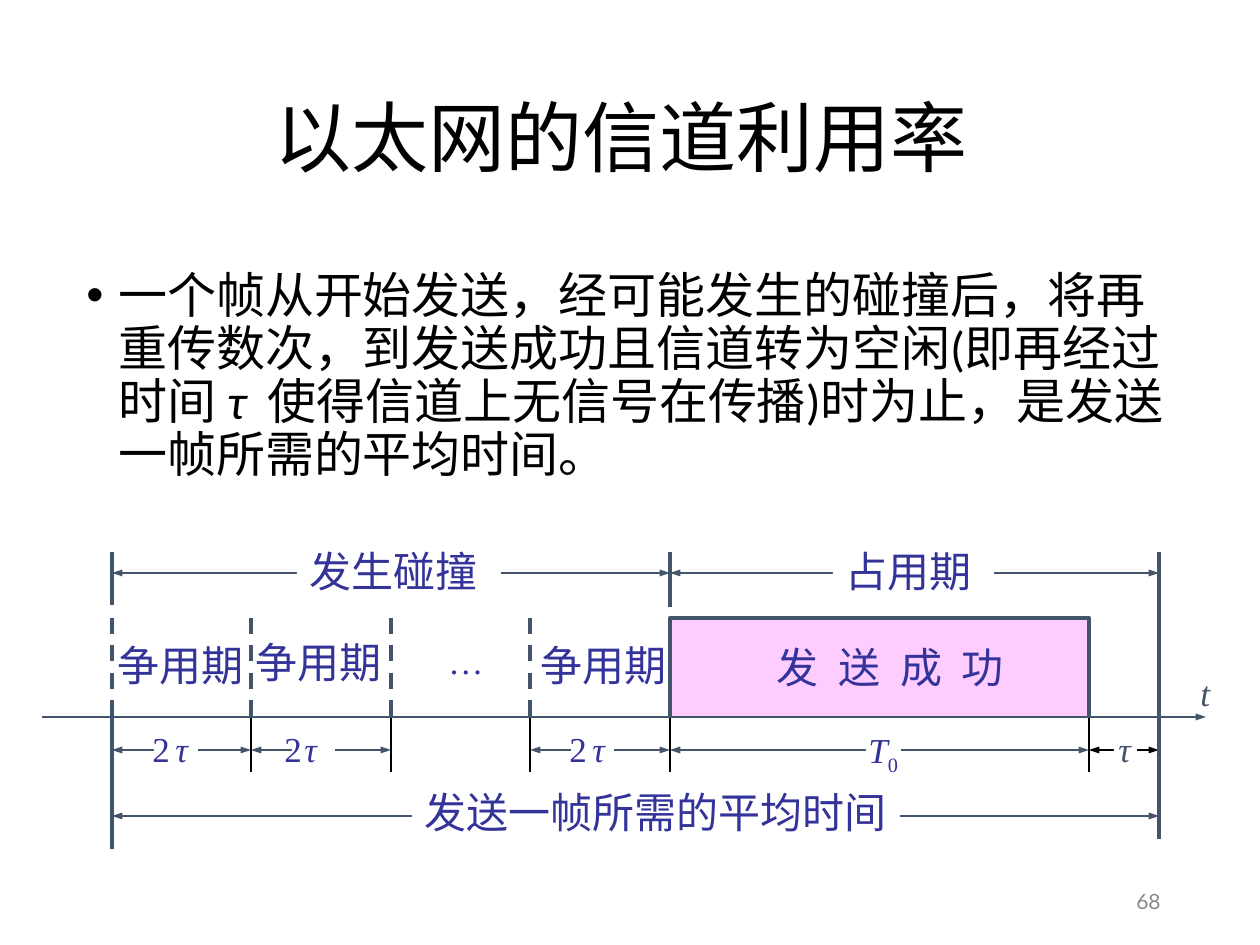
import pptx
import pptx.dml.color
import pptx.enum.dml
import pptx.enum.shapes
import pptx.enum.text
import pptx.oxml.ns
import pptx.oxml.xmlchemy
import pptx.util
from dataclasses import dataclass

SCALE = 914400 / 126
ALIGN = pptx.enum.text.PP_ALIGN
ANCHOR = pptx.enum.text.MSO_ANCHOR


@dataclass(frozen=True)
class Theme:
    black: str = "000000"
    white: str = "FFFFFF"
    slate: str = "44546A"
    indigo: str = "333399"
    pink: str = "FFCCFF"
    grey: str = "898989"
    sans: str = "Calibri"
    serif: str = "Times New Roman"
    number_font: str = "Lato"
    title: int = 44
    body: int = 28
    label: int = 24
    symbol: int = 20
    number: int = 12
    thick: float = 2.25
    medium: float = 1.5
    thin: float = 0.75


T = Theme()
SLOTS = [112, 251, 391, 530, 670]
BUSY, SENT, END = 670, 1089, 1159
SLOT_TOP, AXIS, DIM = 618, 717, 750


def px(n):
    return pptx.util.Emu(round(n * SCALE))


def rgb(color):
    return pptx.dml.color.RGBColor.from_string(color)


def assign(obj, values):
    for name, value in values.items():
        setattr(obj, name, value)


def add_child(parent, tag, **attrs):
    child = parent.makeelement(pptx.oxml.ns.qn(tag), attrs)
    parent.append(child)
    return child


def add_line(s, start, end, width=T.thick, color=T.slate, dash=False, arrows=()):
    """Draw a line; arrows names its headed ends, headEnd before tailEnd."""
    sp = s.shapes.add_connector(
        pptx.enum.shapes.MSO_CONNECTOR.STRAIGHT, *map(px, start + end))
    sp.line.width = pptx.util.Pt(width)
    sp.line.color.rgb = rgb(color)
    if dash:
        sp.line.dash_style = pptx.enum.dml.MSO_LINE.DASH
    ln = sp.line._get_or_add_ln()
    for side in arrows:
        add_child(ln, f"a:{side}", type="triangle", w="sm", len="med")
    add_child(sp._element.spPr, "a:effectLst")


def add_dimension(s, left, right, y, color=T.slate):
    add_line(s, (left, y), (right, y), T.medium, color, arrows=("headEnd", "tailEnd"))


def add_mask(s, box):
    sp = s.shapes.add_shape(pptx.enum.shapes.MSO_SHAPE.RECTANGLE, *map(px, box))
    sp.shadow.inherit = False
    sp.fill.solid()
    sp.fill.fore_color.rgb = rgb(T.white)
    sp.line.fill.background()


def add_run(p, text, font, color, attrs=None):
    """Add a run; attrs holds raw run properties such as baseline or spc."""
    r = p.add_run()
    r.text = text
    assign(r.font, font)
    r.font.color.rgb = rgb(color)
    for name, value in (attrs or {}).items():
        r._r.get_or_add_rPr().set(name, value)


def add_box(s, box, wrap=True, anchor=ANCHOR.TOP):
    sp = s.shapes.add_textbox(*map(px, box))
    assign(sp.text_frame, {"word_wrap": wrap, "vertical_anchor": anchor})
    return sp, sp.text_frame.paragraphs[0]


def add_label(s, text, box, size=T.label, color=T.indigo, italic=False,
              filled=False, attrs=None):
    sp, p = add_box(s, box, wrap=False)
    sp.text_frame.auto_size = pptx.enum.text.MSO_AUTO_SIZE.SHAPE_TO_FIT_TEXT
    if filled:
        sp.fill.solid()
        sp.fill.fore_color.rgb = rgb(T.white)
    font = {"name": T.serif, "size": pptx.util.Pt(size), "italic": italic}
    add_run(p, text, font, color, attrs)
    return p


def add_heading(s):
    _, p = add_box(s, (87, 50, 1086, 183), anchor=ANCHOR.MIDDLE)
    assign(p, {"alignment": ALIGN.CENTER, "line_spacing": 0.9})
    add_run(p, "以太网的信道利用率 ",
            {"name": T.sans, "size": pptx.util.Pt(T.title)}, T.black)


def add_body(s):
    _, p = add_box(s, (74, 265, 1132, 318))
    p.line_spacing = 0.9
    pPr = p._p.get_or_add_pPr()
    pPr.set("marL", str(px(32)))
    pPr.set("indent", str(px(-32)))
    add_child(pPr, "a:buFont", typeface="Arial")
    add_child(pPr, "a:buChar", char="•")
    font = {"name": T.sans, "size": pptx.util.Pt(T.body), "italic": False}
    add_run(p, "一个帧从开始发送，经可能发生的碰撞后，将再重传数次，"
               "到发送成功且信道转为空闲(即再经过时间 ", font, T.black)
    add_run(p, "τ ", font | {"italic": True}, T.black, {"spc": "300"})
    add_run(p, "使得信道上无信号在传播)时为止，是发送一帧所需的平均时间。", font, T.black)


def add_number(s):
    _, p = add_box(s, (890, 876, 283, 50), anchor=ANCHOR.MIDDLE)
    p.alignment = ALIGN.RIGHT
    add_run(p, "68", {"name": T.number_font, "size": pptx.util.Pt(T.number)}, T.grey)


def add_frame_block(s):
    """Draw the sending block, open along the time axis."""
    builder = s.shapes.build_freeform(BUSY, AXIS, scale=SCALE)
    builder.add_line_segments(
        [(BUSY, SLOT_TOP), (SENT, SLOT_TOP), (SENT, AXIS)], close=False)
    sp = builder.convert_to_shape()
    sp.shadow.inherit = False
    sp.fill.solid()
    sp.fill.fore_color.rgb = rgb(T.pink)
    sp.line.color.rgb = rgb(T.slate)
    sp.line.width = pptx.util.Pt(T.thick)
    add_label(s, "发 送 成 功", (764, 635, 267, 63), attrs={"spc": "300"})


def add_dimensions(s):
    for left, right, y in [(SLOTS[0], END, 816), (SLOTS[0], BUSY, 573), (BUSY, END, 573),
                           (BUSY, SENT, DIM)]:
        add_dimension(s, left, right, y)
    add_dimension(s, SENT, END, DIM, T.black)
    for i in (0, 1, 3):
        add_dimension(s, SLOTS[i], SLOTS[i + 1], DIM)
    for box in [(1114, 737, 23, 29), (571, 736, 43, 35), (292, 725, 43, 32),
                (154, 718, 44, 45), (866, 728, 35, 44)]:
        add_mask(s, box)


def add_boundaries(s):
    for x in SLOTS[:-1]:
        add_line(s, (x, SLOT_TOP), (x, AXIS), dash=True)
    for x in SLOTS[1:] + [SENT]:
        add_line(s, (x, AXIS), (x, 772), T.thin, T.black)
    for x, top, bottom in [(SLOTS[0], 552, 605), (SLOTS[0], AXIS, 849),
                           (BUSY, 552, 607), (END, 552, AXIS), (END, AXIS, 839)]:
        add_line(s, (x, top), (x, bottom))


def add_labels(s):
    for x, y in [(105, 633), (243, 630), (528, 633)]:
        add_label(s, "争用期", (x, y, 161, 63))
    for digit_x, tau_x in [(140, 163), (272, 292), (557, 580)]:
        add_label(s, "2", (digit_x, 721, 43, 54), T.symbol)
        add_label(s, "τ", (tau_x, 721, 60, 54), T.symbol, italic=True)
    p = add_label(s, "T", (856, 722, 57, 54), T.symbol, italic=True)
    add_run(p, "0", {"name": T.serif, "size": pptx.util.Pt(T.symbol)},
            T.indigo, {"baseline": "-25000"})
    add_label(s, "τ", (1106, 721, 60, 54), T.symbol, T.slate, italic=True)
    add_label(s, "t", (1188, 665, 35, 54), T.symbol, T.slate, italic=True)
    add_label(s, "…", (436, 633, 60, 54), T.symbol)
    for text, box in [("占用期", (833, 539, 161, 63)), ("发生碰撞", (297, 539, 204, 63)),
                      ("发送一帧所需的平均时间", (412, 780, 488, 63))]:
        add_label(s, text, box, filled=True)


def main():
    prs = pptx.Presentation()
    assign(prs, {"slide_width": px(1260), "slide_height": px(945)})
    s = prs.slides.add_slide(prs.slide_layouts[6])
    add_heading(s)
    add_body(s)
    add_dimensions(s)
    add_frame_block(s)
    add_boundaries(s)
    add_labels(s)
    add_line(s, (42, AXIS), (1206, AXIS), T.medium, arrows=("tailEnd",))
    add_number(s)
    prs.save("out.pptx")


if __name__ == "__main__":
    main()
